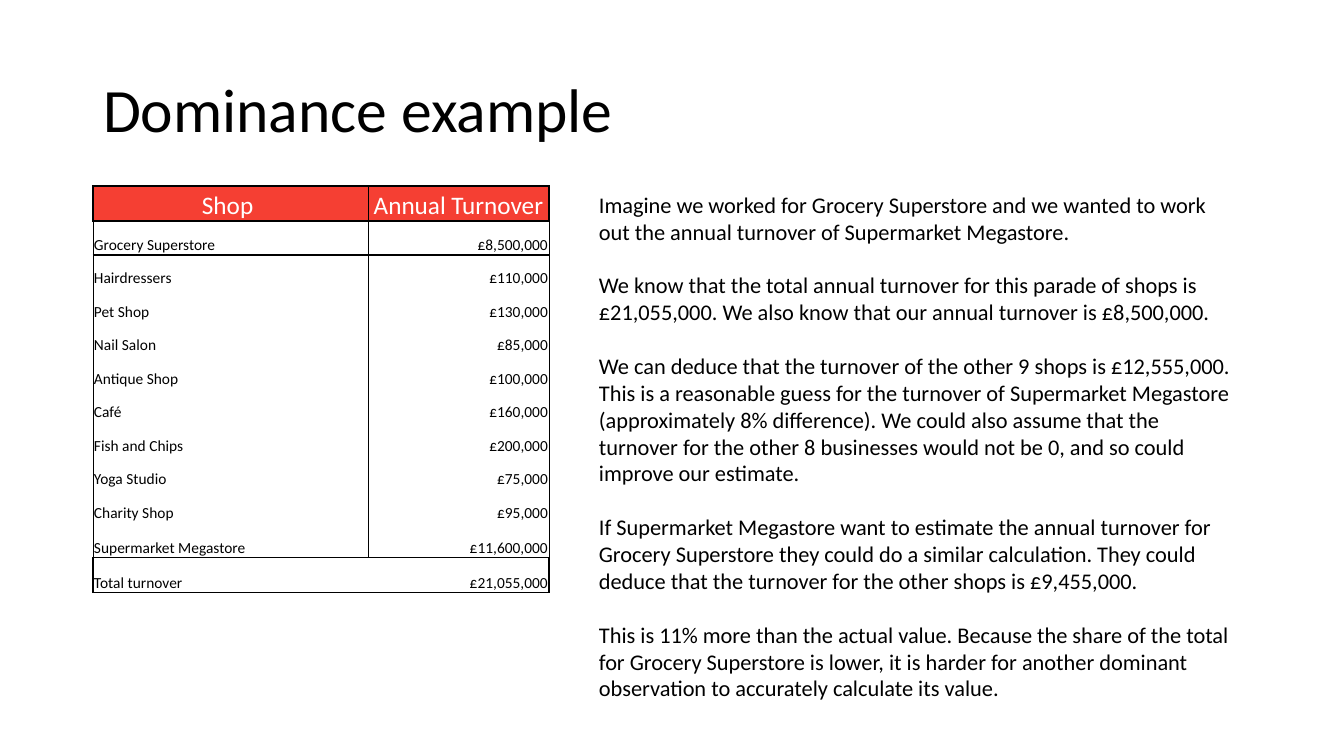
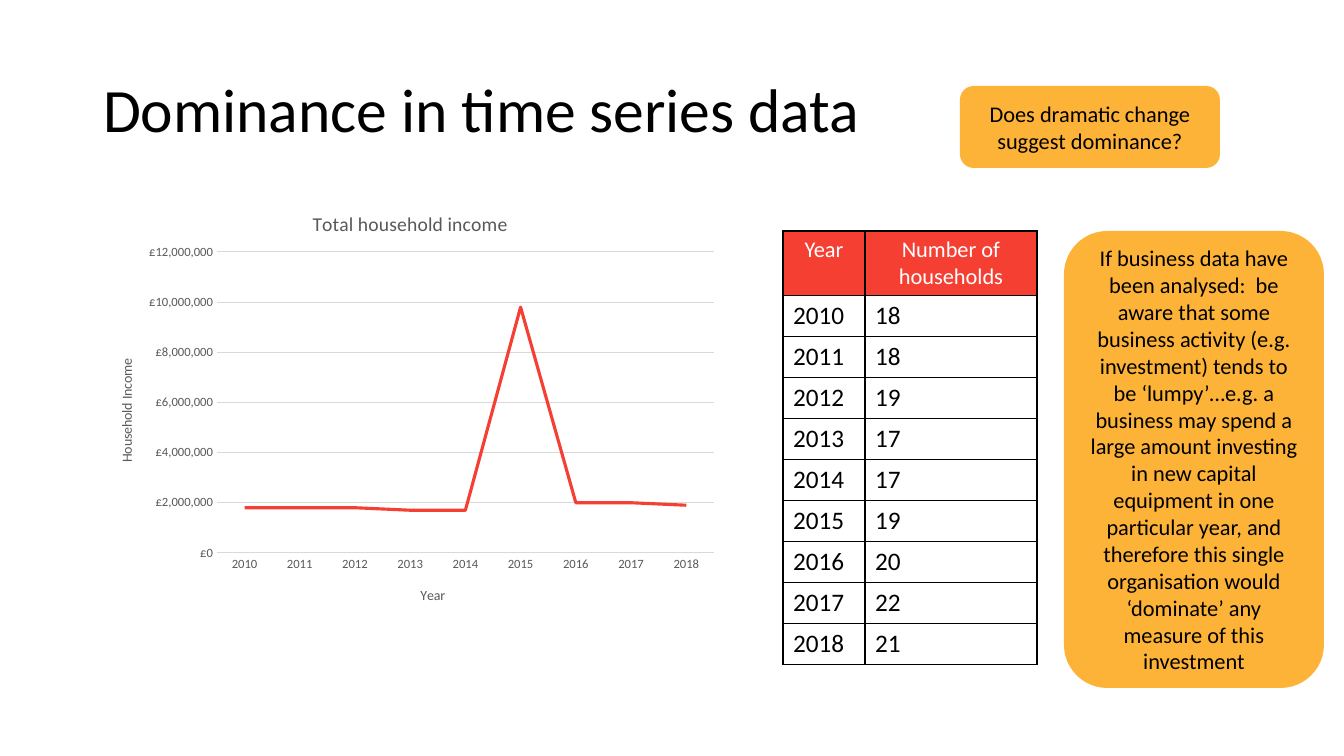
from lxml import etree
from pptx import Presentation
from pptx.chart.data import CategoryChartData
from pptx.dml.color import RGBColor
from pptx.enum.chart import XL_CHART_TYPE, XL_TICK_MARK
from pptx.enum.shapes import MSO_SHAPE
from pptx.enum.text import MSO_ANCHOR, MSO_AUTO_SIZE, PP_ALIGN
from pptx.oxml.ns import qn
from pptx.util import Emu, Pt

LEFT, CENTER, RIGHT = PP_ALIGN.LEFT, PP_ALIGN.CENTER, PP_ALIGN.RIGHT
TOP, MIDDLE, BOTTOM = MSO_ANCHOR.TOP, MSO_ANCHOR.MIDDLE, MSO_ANCHOR.BOTTOM
ROUNDED = MSO_SHAPE.ROUNDED_RECTANGLE
LINE_CHART = XL_CHART_TYPE.LINE
NO_TICK = XL_TICK_MARK.NONE
NO_AUTOSIZE = MSO_AUTO_SIZE.NONE

BLACK = RGBColor(0x00, 0x00, 0x00)
WHITE = RGBColor(0xFF, 0xFF, 0xFF)
RED = RGBColor(0xF5, 0x3F, 0x33)
AMBER = RGBColor(0xFD, 0xB3, 0x38)
GRAY = RGBColor(0x59, 0x59, 0x59)
PALE_GRAY = RGBColor(0xD9, 0xD9, 0xD9)

FONT = "Calibri"
PIXELS_PER_INCH = 100.8
PLAIN_TABLE_STYLE = "{2D5ABB26-0587-4C30-8999-92F81FD0307C}"
TITLE_ONLY = 5
TITLE_BOX = (93, 40, 1159, 146)

TURNOVER = [
    ("Shop ", "Annual Turnover"),
    ("Grocery Superstore", "£8,500,000"),
    ("Hairdressers", "£110,000"),
    ("Pet Shop", "£130,000"),
    ("Nail Salon", "£85,000"),
    ("Antique Shop", "£100,000"),
    ("Café", "£160,000"),
    ("Fish and Chips", "£200,000"),
    ("Yoga Studio", "£75,000"),
    ("Charity Shop", "£95,000"),
    ("Supermarket Megastore", "£11,600,000"),
    ("Total turnover", "£21,055,000"),
]
EXPLANATION = [
    "Imagine we worked for Grocery Superstore and we wanted to work out the "
    "annual turnover of Supermarket Megastore. ",
    "We know that the total annual turnover for this parade of shops is "
    "£21,055,000. We also know that our annual turnover is £8,500,000.",
    "We can deduce that the turnover of the other 9 shops is £12,555,000. "
    "This is a reasonable guess for the turnover of Supermarket Megastore "
    "(approximately 8% difference). We could also assume that the turnover "
    "for the other 8 businesses would not be 0, and so could improve our "
    "estimate.",
    "If Supermarket Megastore want to estimate the annual turnover for "
    "Grocery Superstore they could do a similar calculation. They could "
    "deduce that the turnover for the other shops is £9,455,000.",
    "This is 11% more than the actual value. Because the share of the total "
    "for Grocery Superstore is lower, it is harder for another dominant "
    "observation to accurately calculate its value.",
]
YEARS = [str(year) for year in range(2010, 2019)]
HOUSEHOLDS = [18, 18, 19, 17, 17, 19, 20, 22, 21]
INCOME = [1800000, 1800000, 1800000, 1700000, 1700000, 9800000,
          2000000, 2000000, 1900000]
LUMPY_NOTE = (
    "If business data have been analysed:  be aware that some business "
    "activity (e.g. investment) tends to be ‘lumpy’…e.g. a business may "
    "spend a large amount investing in new capital equipment in one "
    "particular year, and therefore this single organisation would "
    "‘dominate’ any measure of this investment"
)


def px(pixels):
    """Turn pixels into EMU."""
    return Emu(round(pixels * 914400 / PIXELS_PER_INCH))


def box(bounds):
    """Turn left, top, width and height in pixels into EMU."""
    return [px(length) for length in bounds]


def style_font(font, size, color):
    """Set the deck's font with a size and colour."""
    font.name = FONT
    font.size = Pt(size)
    font.bold = False
    font.color.rgb = color


def write_text(text_frame, *texts, size=16, color=BLACK, align=LEFT,
               line_spacing=None, gap=0):
    """Write one paragraph per text, with a gap in points between them."""
    for index, text in enumerate(texts):
        paragraph = (text_frame.add_paragraph() if index
                     else text_frame.paragraphs[0])
        paragraph.alignment = align
        if line_spacing:
            paragraph.line_spacing = line_spacing
        if index:
            paragraph.space_before = Pt(gap)
        run = paragraph.add_run()
        run.text = text
        style_font(run.font, size, color)


def add_titled_slide(presentation, title):
    """Add a title-only slide with the shared title style."""
    slide = presentation.slides.add_slide(
        presentation.slide_layouts[TITLE_ONLY])
    shape = slide.shapes.title
    shape.left, shape.top, shape.width, shape.height = box(TITLE_BOX)
    shape.text_frame.auto_size = NO_AUTOSIZE
    shape.text_frame.vertical_anchor = MIDDLE
    write_text(shape.text_frame, title, size=44, line_spacing=0.9)
    return slide


def add_callout(slide, bounds, text):
    """Add an amber rounded box with centred text."""
    shape = slide.shapes.add_shape(ROUNDED, *box(bounds))
    shape.shadow.inherit = False
    shape.fill.solid()
    shape.fill.fore_color.rgb = AMBER
    shape.line.fill.background()
    shape.text_frame.word_wrap = True
    shape.text_frame.vertical_anchor = MIDDLE
    write_text(shape.text_frame, text, align=CENTER)


def add_explanation(slide, bounds, texts):
    """Add a wrapped text box of spaced paragraphs."""
    text_box = slide.shapes.add_textbox(*box(bounds))
    text_box.text_frame.word_wrap = True
    write_text(text_box.text_frame, *texts, gap=19.2)


def set_borders(cell, widths):
    """Draw black cell borders; widths are points by side L, R, T, B."""
    properties = cell._tc.get_or_add_tcPr()
    for side in "LRTB":
        if side not in widths:
            continue
        line = etree.SubElement(properties, qn(f"a:ln{side}"),
                                w=str(Pt(widths[side])))
        fill = etree.SubElement(line, qn("a:solidFill"))
        etree.SubElement(fill, qn("a:srgbClr"), val=str(BLACK))


def add_grid(slide, left, top, columns, heights, rows, borders,
             header_size, body_size, body_aligns, anchor=TOP, margin=None):
    """Add a table with a red header; borders(row, column) gives widths."""
    frame = slide.shapes.add_table(
        len(rows), len(columns),
        *box((left, top, sum(columns), sum(heights))))
    table = frame.table
    table.first_row = table.horz_banding = False
    style = table._tbl.tblPr.find(qn("a:tableStyleId"))
    style.text = PLAIN_TABLE_STYLE
    for column, width in zip(table.columns, columns):
        column.width = px(width)
    for row, height in zip(table.rows, heights):
        row.height = px(height)
    for row_index, row in enumerate(rows):
        for column_index, text in enumerate(row):
            cell = table.cell(row_index, column_index)
            set_borders(cell, borders(row_index, column_index))
            cell.vertical_anchor = anchor
            if margin is not None:
                cell.margin_left = cell.margin_right = px(margin)
                cell.margin_top = px(margin)
                cell.margin_bottom = 0
            if row_index == 0:
                cell.fill.solid()
                cell.fill.fore_color.rgb = RED
                write_text(cell.text_frame, text, size=header_size,
                           color=WHITE, align=CENTER)
            else:
                cell.fill.background()
                write_text(cell.text_frame, text, size=body_size,
                           align=body_aligns[column_index])


def turnover_borders(row, column):
    """Rule the header and total rows fully, the body only at the sides."""
    last = len(TURNOVER) - 1
    if row == last:
        return {"T": 1, "B": 1, "LR"[column]: 1}
    widths = {"L": 0.5, "R": 0.5}
    if row == 0:
        widths.update({"T": 1, "B": 1, "LR"[column]: 1})
    elif row == 1:
        widths["T"] = 1
    elif row == last - 1:
        widths["B"] = 1
    return widths


def full_borders(row, column):
    """Rule every side of every cell."""
    return dict.fromkeys("LRTB", 1)


def place_in_chart(element, chart_bounds, left, top, width=None, height=None):
    """Fix a chart part at a slide position; a size marks the plot area."""
    layout = element.find(qn("c:layout"))
    if layout is None:
        layout = etree.Element(qn("c:layout"))
        has_text = element.find(qn("c:tx")) is not None
        element.insert(1 if has_text else 0, layout)
    manual = etree.SubElement(layout, qn("c:manualLayout"))
    chart_left, chart_top, chart_width, chart_height = chart_bounds
    values = {"xMode": "edge", "yMode": "edge",
              "x": (left - chart_left) / chart_width,
              "y": (top - chart_top) / chart_height}
    if width:
        etree.SubElement(manual, qn("c:layoutTarget"), val="inner")
        values.update(w=width / chart_width, h=height / chart_height)
    for name, value in values.items():
        etree.SubElement(manual, qn(f"c:{name}"), val=str(value))


def style_axis(axis, title, title_place, chart_bounds):
    """Give an axis its title, small grey labels and no tick marks."""
    axis.major_tick_mark = axis.minor_tick_mark = NO_TICK
    style_font(axis.tick_labels.font, 9, GRAY)
    write_text(axis.axis_title.text_frame, title, size=10, color=GRAY,
               align=CENTER)
    place_in_chart(axis.axis_title.element, chart_bounds, *title_place)


def add_income_chart(slide, bounds):
    """Add the line chart of household income by year."""
    data = CategoryChartData()
    data.categories = YEARS
    data.add_series("Total household income ", INCOME)
    chart = slide.shapes.add_chart(LINE_CHART, *box(bounds), data).chart
    style_font(chart.font, 10, BLACK)
    chart.has_legend = False
    chart.has_title = True
    write_text(chart.chart_title.text_frame, "Total household income ",
               size=14, color=GRAY, align=CENTER)
    place_in_chart(chart.chart_title.element, bounds, 309, 207)
    place_in_chart(chart.element.find(f".//{qn('c:plotArea')}"), bounds,
                   217, 252, 497, 301)

    years, income = chart.category_axis, chart.value_axis
    style_axis(years, "Year", (418, 584), bounds)
    years.format.line.color.rgb = PALE_GRAY
    years.format.line.width = Pt(0.75)
    style_axis(income, "Household Income", (115, 356), bounds)
    body = income.axis_title.element.find(f".//{qn('a:bodyPr')}")
    body.set("rot", "-5400000")
    body.set("vert", "horz")
    income.minimum_scale, income.maximum_scale = 0, 12000000
    income.major_unit = 2000000
    income.tick_labels.number_format = '"£"#,##0'
    income.tick_labels.number_format_is_linked = False
    income.format.line.fill.background()
    gridline = income.major_gridlines.format.line
    gridline.color.rgb = PALE_GRAY
    gridline.width = Pt(0.75)

    plot = chart.plots[0]
    plot.vary_by_categories = False
    series = plot.series[0]
    series.smooth = False
    series.format.line.color.rgb = RED
    series.format.line.width = Pt(2.25)


def build_example(presentation):
    """Build the slide on shop turnover."""
    slide = add_titled_slide(presentation, "Dominance example")
    add_grid(slide, 93, 186, [275, 181], [35, *[34, 33] * 4, 34, 35, 35],
             TURNOVER, turnover_borders, header_size=18, body_size=11,
             body_aligns=[LEFT, RIGHT], anchor=BOTTOM, margin=1)
    add_explanation(slide, (589, 186, 663, 526), EXPLANATION)


def build_time_series(presentation):
    """Build the slide on household income over time."""
    slide = add_titled_slide(presentation, "Dominance in time series data")
    add_income_chart(slide, (93, 186, 634, 435))
    rows = [("Year", "Number of households"),
            *zip(YEARS, map(str, HOUSEHOLDS))]
    add_grid(slide, 783, 231, [82, 172], [64] + [41] * len(YEARS), rows,
             full_borders, header_size=16, body_size=18,
             body_aligns=[LEFT, LEFT])
    add_callout(slide, (960, 86, 260, 82),
                "Does dramatic change suggest dominance?")
    add_callout(slide, (1064, 231, 260, 457), LUMPY_NOTE)


def main():
    """Build and save the presentation."""
    presentation = Presentation()
    presentation.slide_width = px(1344)
    presentation.slide_height = px(756)
    build_example(presentation)
    build_time_series(presentation)
    presentation.save("out.pptx")


main()
